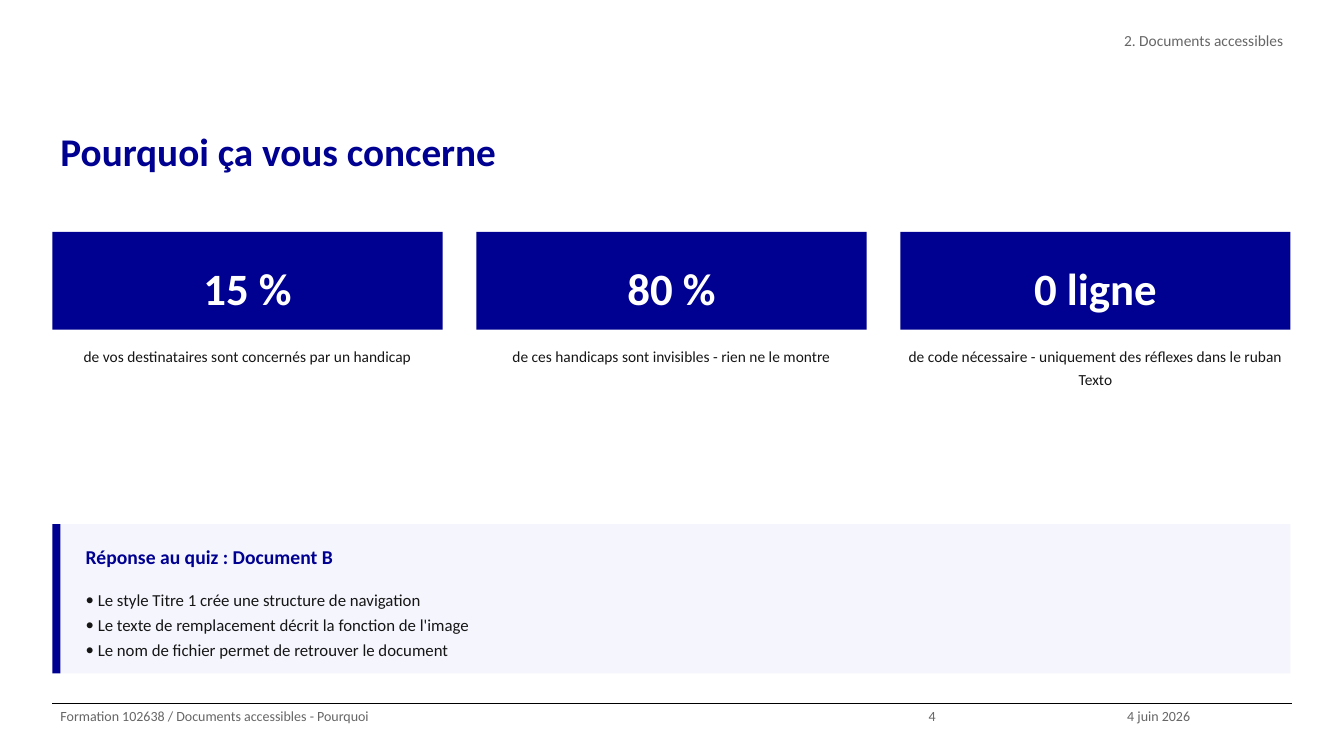
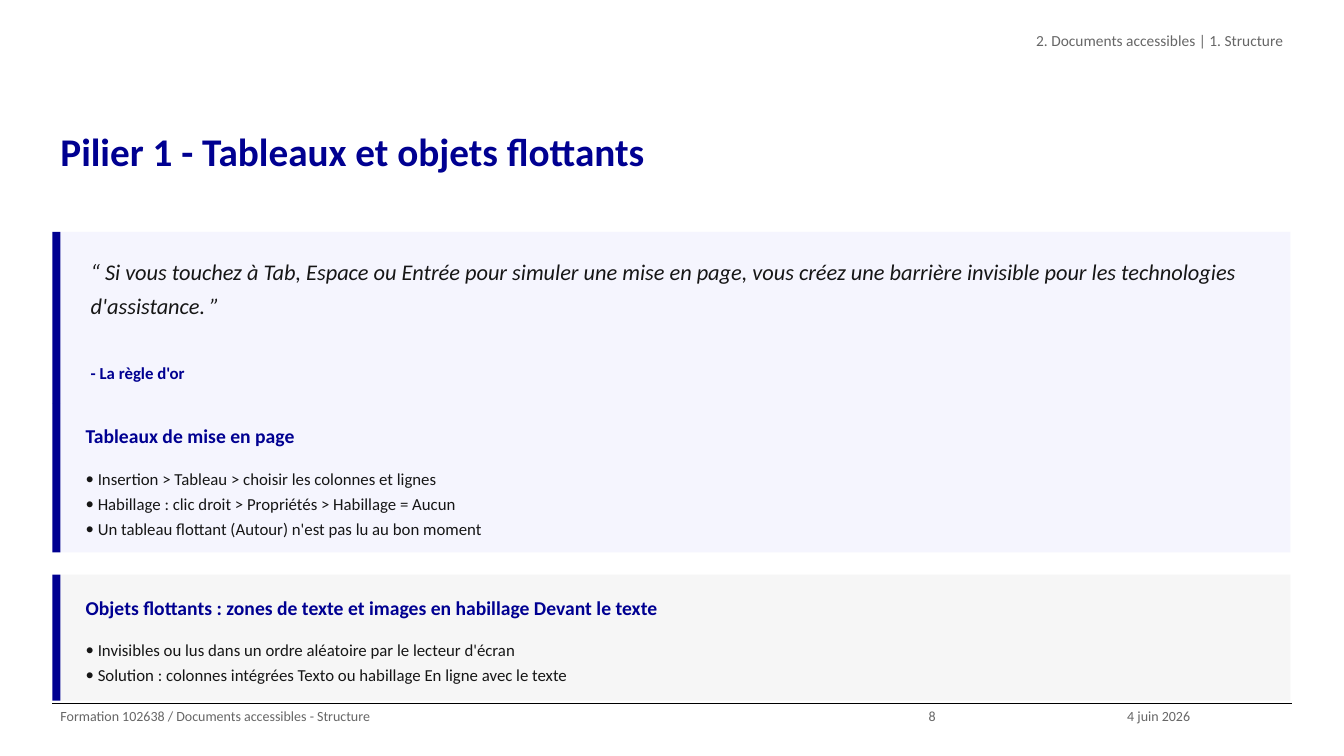
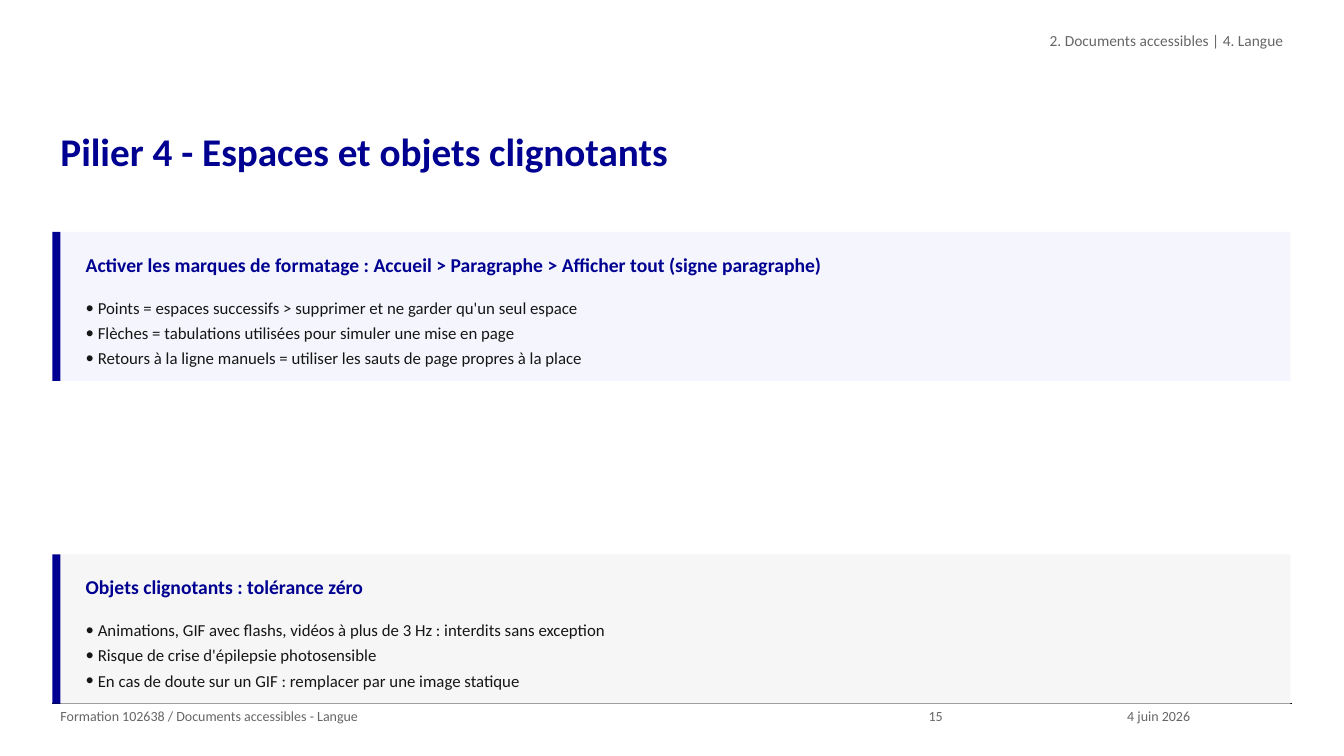
"""Build three training slides on accessible documents."""
import pptx
import pptx.util
import pptx.dml.color
import pptx.enum.shapes
import pptx.enum.text
import pptx.oxml
from lxml import etree

Inches, Pt = pptx.util.Inches, pptx.util.Pt
ALIGN = pptx.enum.text.PP_ALIGN
ANCHOR = pptx.enum.text.MSO_ANCHOR
AUTO = pptx.enum.text.MSO_AUTO_SIZE

COLORS = {"navy": "000091", "lilac": "F5F5FE", "pale": "F6F6F6", "ink": "161616",
          "grey": "666666", "white": "FFFFFF", "black": "000000"}
FONT = "Calibri"
STYLES = {
    "title": ("navy", {"size": Pt(28), "bold": True}),
    "header": ("grey", {"size": Pt(11)}),
    "footer": ("grey", {"size": Pt(10)}),
    "figure": ("white", {"size": Pt(32), "bold": True}),
    "caption": ("ink", {"size": Pt(11)}),
    "heading": ("navy", {"size": Pt(14), "bold": True}),
    "body": ("ink", {"size": Pt(12)}),
    "quote": ("ink", {"size": Pt(16), "italic": True}),
    "author": ("navy", {"size": Pt(12), "bold": True}),
}
LEFT, WIDTH, BAR, TOP = 0.52, 12.28, 0.08, 2.3
FOOT_TOP, FOOT_HEIGHT = 6.98, 0.52
STAT_WIDTH, INDENT = 3.87, 0.12
COURSE, DATE = "Formation 102638 / Documents accessibles", "4 juin 2026"

SLIDES = [
    {
        "title": "Pourquoi ça vous concerne",
        "header": "2. Documents accessibles",
        "topic": "Pourquoi",
        "number": "4",
        "stats": [
            ("15 %", "de vos destinataires sont concernés par un handicap"),
            ("80 %", "de ces handicaps sont invisibles - rien ne le montre"),
            ("0 ligne", "de code nécessaire - uniquement des réflexes dans le ruban Texto"),
        ],
        "cards": [
            (5.2, "lilac", "Réponse au quiz : Document B", [
                "Le style Titre 1 crée une structure de navigation",
                "Le texte de remplacement décrit la fonction de l'image",
                "Le nom de fichier permet de retrouver le document"]),
        ],
    },
    {
        "title": "Pilier 1 - Tableaux et objets flottants",
        "header": "2. Documents accessibles | 1. Structure",
        "topic": "Structure",
        "number": "8",
        "quote": ("“ Si vous touchez à Tab, Espace ou Entrée pour simuler une mise en page, "
                  "vous créez une barrière invisible pour les technologies d'assistance. ”",
                  "- La règle d'or"),
        "cards": [
            (4, "lilac", "Tableaux de mise en page", [
                "Insertion > Tableau > choisir les colonnes et lignes",
                "Habillage : clic droit > Propriétés > Habillage = Aucun",
                "Un tableau flottant (Autour) n'est pas lu au bon moment"]),
            (5.7, "pale", "Objets flottants : zones de texte et images en habillage Devant le texte", [
                "Invisibles ou lus dans un ordre aléatoire par le lecteur d'écran",
                "Solution : colonnes intégrées Texto ou habillage En ligne avec le texte"]),
        ],
    },
    {
        "title": "Pilier 4 - Espaces et objets clignotants",
        "header": "2. Documents accessibles | 4. Langue",
        "topic": "Langue",
        "number": "15",
        "cards": [
            (TOP, "lilac",
             "Activer les marques de formatage : Accueil > Paragraphe > Afficher tout (signe paragraphe)", [
                 "Points = espaces successifs > supprimer et ne garder qu'un seul espace",
                 "Flèches = tabulations utilisées pour simuler une mise en page",
                 "Retours à la ligne manuels = utiliser les sauts de page propres à la place"]),
            (5.5, "pale", "Objets clignotants : tolérance zéro", [
                "Animations, GIF avec flashs, vidéos à plus de 3 Hz : interdits sans exception",
                "Risque de crise d'épilepsie photosensible",
                "En cas de doute sur un GIF : remplacer par une image statique"]),
        ],
    },
]


def rgb(name):
    return pptx.dml.color.RGBColor.from_string(COLORS[name])


def add_bullet(p):
    pPr = p._p.get_or_add_pPr()
    pPr.set("marL", str(Inches(INDENT)))
    pPr.set("indent", str(-Inches(INDENT)))
    for tag, key, value in (("a:buFont", "typeface", FONT), ("a:buChar", "char", "•")):
        etree.SubElement(pPr, pptx.oxml.ns.qn(tag)).set(key, value)


def write(tf, lines, style, pad=0.05, align=ALIGN.LEFT, bullets=False):
    frame = {"word_wrap": True, "margin_left": Inches(0.08), "margin_right": Inches(0.08),
             "margin_top": Inches(pad), "margin_bottom": Inches(pad)}
    for key, value in frame.items():
        setattr(tf, key, value)
    color, font = STYLES[style]
    for i, line in enumerate(lines):
        p = tf.add_paragraph() if i else tf.paragraphs[0]
        p.alignment, p.line_spacing = align, 1.25
        if bullets:
            add_bullet(p)
        r = p.add_run()
        r.text = line
        for key, value in {"name": FONT, **font}.items():
            setattr(r.font, key, value)
        r.font.color.rgb = rgb(color)


def add_text(s, box, lines, style, pad=0.05, **options):
    tf = s.shapes.add_textbox(*map(Inches, box)).text_frame
    write(tf, lines, style, pad, **options)
    if pad:
        tf.auto_size = AUTO.SHAPE_TO_FIT_TEXT


def add_rect(s, box, fill):
    sp = s.shapes.add_shape(pptx.enum.shapes.MSO_SHAPE.RECTANGLE, *map(Inches, box))
    sp.shadow.inherit = False
    sp.fill.solid()
    sp.fill.fore_color.rgb = rgb(fill)
    sp.line.fill.background()
    return sp


def add_panel(s, top, height, fill):
    add_rect(s, (LEFT + BAR, top, WIDTH - BAR, height), fill)
    add_rect(s, (LEFT, top, BAR, height), "navy")


def add_frame(s, content):
    line = s.shapes.add_connector(pptx.enum.shapes.MSO_CONNECTOR.STRAIGHT, Inches(LEFT),
                                  Inches(FOOT_TOP), Inches(12.81), Inches(FOOT_TOP))
    line.line.color.rgb = rgb("black")
    line.line.width = Pt(0.8)
    etree.SubElement(line._element.spPr, pptx.oxml.ns.qn("a:effectLst"))
    add_text(s, (LEFT, 1.15, WIDTH, 1.05), [content["title"]], "title", 0)
    add_text(s, (4.83, 0.26, 7.98, 0.52), [content["header"]], "header", 0, align=ALIGN.RIGHT)
    for left, width, text in ((LEFT, 8.61, f"{COURSE} - {content['topic']}"),
                              (9.13, 1.97, content["number"]), (11.1, 1.71, DATE)):
        add_text(s, (left, FOOT_TOP, width, FOOT_HEIGHT), [text], "footer", 0)


def add_stats(s, stats):
    step = (WIDTH - STAT_WIDTH) / (len(stats) - 1)
    for i, (figure, caption) in enumerate(stats):
        left = LEFT + i * step
        tf = add_rect(s, (left, TOP, STAT_WIDTH, 0.97), "navy").text_frame
        tf.vertical_anchor = ANCHOR.MIDDLE
        write(tf, [figure], "figure", align=ALIGN.CENTER)
        add_text(s, (left, 3.35, STAT_WIDTH, 0.45), [caption], "caption", align=ALIGN.CENTER)


def add_quote(s, quote, author):
    add_panel(s, TOP, 1.7, "lilac")
    add_text(s, (0.82, TOP + 0.15, 11.88, 1.1), [quote], "quote")
    add_text(s, (0.82, TOP + 1.2, 11.88, 0.4), [author], "author")


def add_card(s, top, fill, heading, items):
    add_panel(s, top, 0.79 + 0.23 * len(items), fill)
    add_text(s, (0.77, top + 0.1, 11.93, 0.4), [heading], "heading")
    add_text(s, (0.77, top + 0.55, 11.93, 0.16 + 0.22 * len(items)), items, "body", bullets=True)


def main():
    prs = pptx.Presentation()
    prs.slide_width, prs.slide_height = Inches(13.33), Inches(7.5)
    for content in SLIDES:
        s = prs.slides.add_slide(prs.slide_layouts[6])
        add_frame(s, content)
        if "stats" in content:
            add_stats(s, content["stats"])
        if "quote" in content:
            add_quote(s, *content["quote"])
        for card in content["cards"]:
            add_card(s, *card)
    prs.save("out.pptx")


if __name__ == "__main__":
    main()
